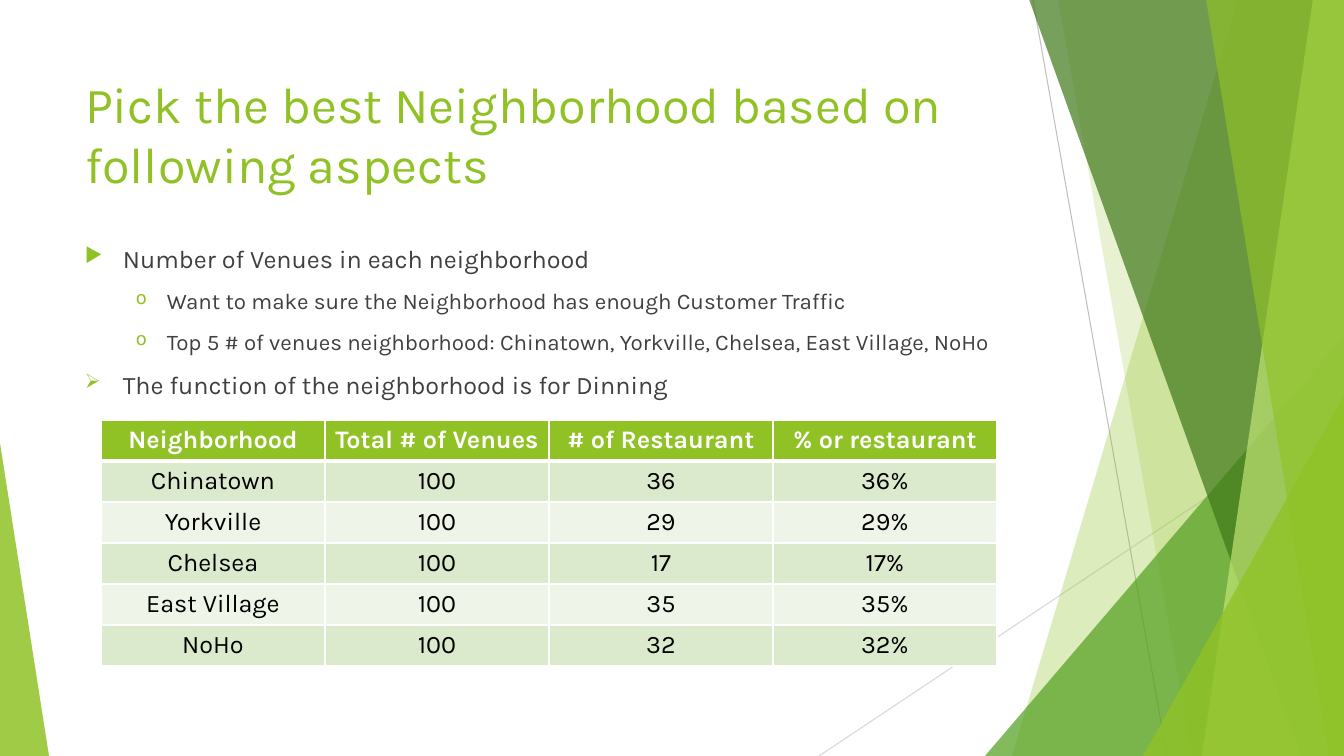
from dataclasses import dataclass
from typing import Any

from lxml.etree import SubElement
from pptx import Presentation
from pptx.dml.color import RGBColor
from pptx.enum.shapes import MSO_CONNECTOR as Connector, MSO_SHAPE as Preset
from pptx.enum.text import MSO_ANCHOR as Anchor, MSO_AUTO_SIZE as AutoSize, PP_ALIGN as Align
from pptx.oxml.ns import qn
from pptx.util import Emu, Pt

SLIDE_W, SLIDE_H = 1344, 756
EMU_PER_PX = 12192000 / SLIDE_W
COLORS = {
    "lime": "90C226", "green": "54A021", "forest": "3F7819", "pale": "C0E474",
    "steep_line": "BFBFBF", "flat_line": "D9D9D9", "body": "404040",
    "white": "FFFFFF", "black": "000000", "band_dark": "DBE9CD", "band_light": "EEF4E8",
}


@dataclass(frozen=True)
class Ray:
    start: tuple[int, int]
    end: tuple[int, int]
    color: str


@dataclass(frozen=True)
class Panel:
    top_x: int
    bottom_x: int
    color: str
    opacity: int


@dataclass(frozen=True)
class Corner:
    box: tuple[int, int, int, int]
    apex: int
    color: str
    opacity: int


@dataclass(frozen=True)
class Point:
    text: str
    bullet: str
    level: int = 0


@dataclass(frozen=True)
class Level:
    margin: int
    hanging: int
    size: int


RAYS = [
    Ray((1033, 0), (1167, SLIDE_H), "steep_line"),
    Ray((SLIDE_W, 406), (819, SLIDE_H), "flat_line"),
]
FACETS = [
    Panel(1238, 1012, "lime", 30),
    Panel(1058, 1192, "lime", 20),
    Corner((985, 336, 359, 420), 1, "green", 72),
    Panel(1029, 1301, "forest", 70),
    Panel(1313, 1202, "pale", 70),
    Panel(1206, 1329, "lime", 65),
    Corner((1143, 396, 201, 360), 1, "lime", 80),
    Corner((0, 443, 49, 313), 0, "lime", 85),
]
LEVELS = [Level(38, 38, 18), Level(82, 31, 16)]
POINTS = [
    Point("Number of Venues in each neighborhood", "▶"),
    Point("Want to make sure the Neighborhood has enough Customer Traffic", "o", 1),
    Point("Top 5 # of venues neighborhood: Chinatown, Yorkville, Chelsea, East Village, NoHo", "o", 1),
    Point("The function of the neighborhood is for Dinning", "➢"),
]
HEADINGS = ["Neighborhood", "Total # of Venues", "# of Restaurant", "% or restaurant"]
RESTAURANTS = {"Chinatown": 36, "Yorkville": 29, "Chelsea": 17, "East Village": 35, "NoHo": 32}
TOTAL_VENUES = 100
COLUMN_W, ROW_H = 224, 41


def px(length: int) -> Emu:
    return Emu(round(length * EMU_PER_PX))


def rgb(name: str) -> RGBColor:
    return RGBColor.from_string(COLORS[name])


def set_font(font: Any, color: str, size: int, bold: bool = False) -> None:
    for attribute, value in {"name": "Karla", "size": Pt(size), "bold": bold}.items():
        setattr(font, attribute, value)
    font.color.rgb = rgb(color)


def set_frame(frame: Any) -> None:
    layout = {"word_wrap": True, "auto_size": AutoSize.NONE, "vertical_anchor": Anchor.TOP}
    for attribute, value in layout.items():
        setattr(frame, attribute, value)


def draw_ray(shapes: Any, ray: Ray) -> None:
    line = shapes.add_connector(Connector.STRAIGHT, *map(px, ray.start + ray.end))
    line.line.color.rgb = rgb(ray.color)
    line.line.width = Pt(0.75)
    SubElement(line._element.spPr, qn("a:effectLst"))


def draw_facet(shapes: Any, facet: Panel | Corner) -> None:
    if isinstance(facet, Panel):
        outline = shapes.build_freeform(px(facet.top_x), px(-1))
        edges = [(SLIDE_W, -1), (SLIDE_W, SLIDE_H), (facet.bottom_x, SLIDE_H)]
        outline.add_line_segments([(px(x), px(y)) for x, y in edges], close=True)
        shape = outline.convert_to_shape()
    else:
        shape = shapes.add_shape(Preset.ISOSCELES_TRIANGLE, *map(px, facet.box))
        shape.adjustments[0] = facet.apex
    shape.shadow.inherit = False
    shape.line.fill.background()
    shape.fill.solid()
    shape.fill.fore_color.rgb = rgb(facet.color)
    for fill_color in shape._element.spPr.iter(qn("a:srgbClr")):
        SubElement(fill_color, qn("a:alpha"), val=str(facet.opacity * 1000))


def write_title(title: Any) -> None:
    box = {"left": 75, "top": 68, "width": 948, "height": 145}
    for attribute, value in box.items():
        setattr(title, attribute, px(value))
    title.text_frame.text = "Pick the best Neighborhood based on following aspects"
    set_frame(title.text_frame)
    heading = title.text_frame.paragraphs[0]
    heading.alignment = Align.LEFT
    set_font(heading.runs[0].font, "lime", 36)


def write_points(shapes: Any, points: list[Point]) -> None:
    frame = shapes.add_textbox(*map(px, (75, 238, 948, 427))).text_frame
    set_frame(frame)
    for index, point in enumerate(points):
        paragraph = frame.add_paragraph() if index else frame.paragraphs[0]
        level = LEVELS[point.level]
        paragraph.level = point.level
        paragraph.space_before = Pt(10 if index else 0)
        properties = paragraph._p.get_or_add_pPr()
        properties.set("marL", str(px(level.margin)))
        properties.set("indent", str(px(-level.hanging)))
        bullet_color = SubElement(properties, qn("a:buClr"))
        SubElement(bullet_color, qn("a:srgbClr"), val=COLORS["lime"])
        SubElement(properties, qn("a:buSzPct"), val="80000")
        SubElement(properties, qn("a:buChar"), char=point.bullet)
        run = paragraph.add_run()
        run.text = point.text
        set_font(run.font, "body", level.size)


def set_borders(cell: Any, row: int) -> None:
    widths = {"L": 1, "R": 1, "T": 3 if row == 1 else 1, "B": 3 if row == 0 else 1}
    properties = cell._tc.get_or_add_tcPr()
    for side, width in widths.items():
        border = SubElement(properties, qn(f"a:ln{side}"), w=str(Pt(width)))
        fill = SubElement(border, qn("a:solidFill"))
        SubElement(fill, qn("a:srgbClr"), val=COLORS["white"])


def draw_table(shapes: Any) -> None:
    rows = [HEADINGS] + [
        [name, str(TOTAL_VENUES), str(count), f"{count / TOTAL_VENUES:.0%}"]
        for name, count in RESTAURANTS.items()
    ]
    box = (101, 420, COLUMN_W * len(HEADINGS), ROW_H * len(rows))
    table = shapes.add_table(len(rows), len(HEADINGS), *map(px, box)).table
    for column in table.columns:
        column.width = px(COLUMN_W)
    for row, values in enumerate(rows):
        table.rows[row].height = px(ROW_H)
        is_header = row == 0
        band = "lime" if is_header else "band_dark" if row % 2 else "band_light"
        for column, value in enumerate(values):
            cell = table.cell(row, column)
            set_borders(cell, row)
            cell.fill.solid()
            cell.fill.fore_color.rgb = rgb(band)
            cell.text = value
            paragraph = cell.text_frame.paragraphs[0]
            paragraph.alignment = Align.CENTER
            set_font(paragraph.runs[0].font, "white" if is_header else "black", 18, is_header)


def main() -> None:
    deck = Presentation()
    deck.slide_width, deck.slide_height = px(SLIDE_W), px(SLIDE_H)
    slide = deck.slides.add_slide(deck.slide_layouts[5])
    shapes = slide.shapes
    for ray in RAYS:
        draw_ray(shapes, ray)
    for facet in FACETS:
        draw_facet(shapes, facet)
    title = shapes.title
    title._element.getparent().append(title._element)
    write_title(title)
    write_points(shapes, POINTS)
    draw_table(shapes)
    deck.save("out.pptx")


if __name__ == "__main__":
    main()
